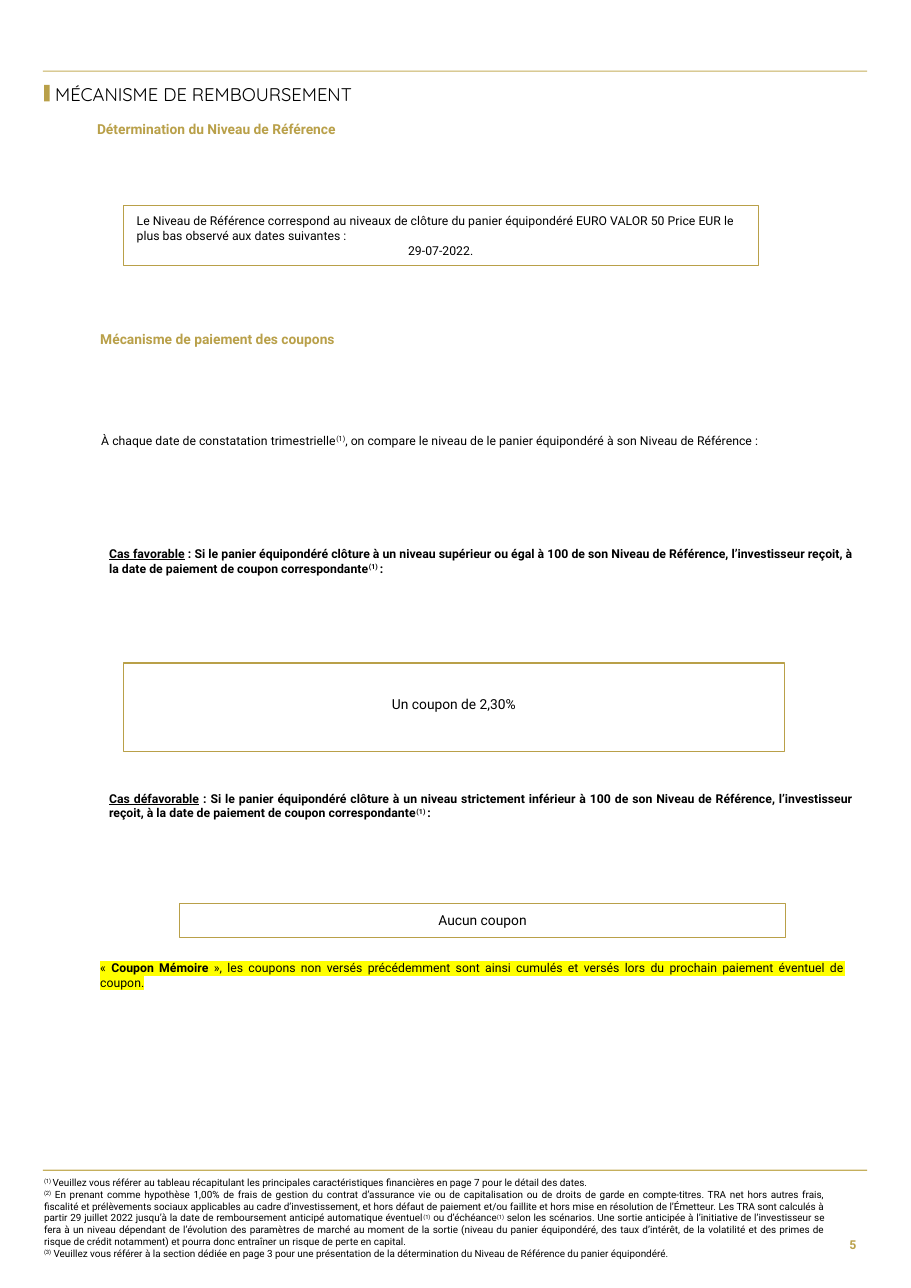
import pptx
import pptx.dml.color
import pptx.enum.shapes
import pptx.enum.text
import pptx.oxml
import pptx.oxml.ns
import pptx.util

Pt = pptx.util.Pt
ALIGN = pptx.enum.text.PP_ALIGN
MIDDLE = pptx.enum.text.MSO_ANCHOR.MIDDLE
TOP = pptx.enum.text.MSO_ANCHOR.TOP

GOLD = pptx.dml.color.RGBColor(0xB9, 0xA0, 0x49)
RULE_GOLD = pptx.dml.color.RGBColor(0xC5, 0xAF, 0x5C)
BLACK = pptx.dml.color.RGBColor(0, 0, 0)
WHITE = pptx.dml.color.RGBColor(0xFF, 0xFF, 0xFF)
HIGHLIGHT = "FFFF00"

PAGE_WIDTH, PAGE_HEIGHT = 595.3, 841.9
MARGIN = 28.1
RULE_WIDTH = 538.6

NOTES = [
    [("(1) ", "superscript"),
     ("Veuillez vous référer au tableau récapitulant les principales caractéristiques "
      "financières en page 7 pour le détail des dates.", "")],
    [("(2)", "superscript"),
     (" En prenant comme hypothèse 1,00% de frais de gestion du contrat d’assurance vie ou de "
      "capitalisation ou de droits de garde en compte-titres. TRA net hors autres frais, "
      "fiscalité et prélèvements sociaux applicables au cadre d’investissement, et hors défaut "
      "de paiement et/ou faillite et hors mise en résolution de l’Émetteur. Les TRA sont "
      "calculés à partir 29 juillet 2022 jusqu’à la date de remboursement anticipé automatique "
      "éventuel", ""),
     ("(1)", "superscript"), (" ou d’échéance", ""), ("(1)", "superscript"),
     (" selon les scénarios. Une sortie anticipée à l’initiative de l’investisseur se fera à un "
      "niveau dépendant de l’évolution des paramètres de marché au moment de la sortie (niveau "
      "du panier équipondéré, des taux d’intérêt, de la volatilité et des primes de risque de "
      "crédit notamment) et pourra donc entraîner un risque de perte en capital.", "")],
    [("(3)", "superscript"),
     (" Veuillez vous référer à la section dédiée en page 3 pour une présentation de la "
      "détermination du Niveau de Référence du panier équipondéré.", "")],
]


def write_paragraph(paragraph, pieces, size, color, align, font_name="Roboto"):
    paragraph.alignment = align
    for text, style in pieces:
        run = paragraph.add_run()
        run.text = text
        run.font.name = font_name
        run.font.size = Pt(size)
        run.font.bold = "bold" in style
        run.font.underline = "underline" in style
        run.font.color.rgb = color
        properties = run._r.get_or_add_rPr()
        if "superscript" in style:
            properties.set("baseline", "30000")
        if "highlight" in style:
            highlight = pptx.oxml.parse_xml(
                f'<a:highlight {pptx.oxml.ns.nsdecls("a")}>'
                f'<a:srgbClr val="{HIGHLIGHT}"/></a:highlight>')
            properties.find(pptx.oxml.ns.qn("a:solidFill")).addnext(highlight)


def write_frame(shape, paragraphs, size, color=BLACK, aligns=(ALIGN.JUSTIFY,),
                anchor=TOP, insets=(0, 0, 0, 0), font_name="Roboto"):
    frame = shape.text_frame
    frame.word_wrap = True
    frame.vertical_anchor = anchor
    frame.margin_left, frame.margin_top, frame.margin_right, frame.margin_bottom = map(Pt, insets)
    for index, pieces in enumerate(paragraphs):
        paragraph = frame.paragraphs[0] if index == 0 else frame.add_paragraph()
        write_paragraph(paragraph, pieces, size, color, aligns[index % len(aligns)], font_name)


def add_text(slide, box, paragraphs, size, **options):
    shape = slide.shapes.add_textbox(*map(Pt, box))
    write_frame(shape, paragraphs, size, **options)


def add_rectangle(slide, box, fill=None, line_width=None):
    shape = slide.shapes.add_shape(pptx.enum.shapes.MSO_SHAPE.RECTANGLE, *map(Pt, box))
    shape.shadow.inherit = False
    if fill is None:
        shape.fill.background()
    else:
        shape.fill.solid()
        shape.fill.fore_color.rgb = fill
    if line_width is None:
        shape.line.fill.background()
    else:
        shape.line.color.rgb = GOLD
        shape.line.width = Pt(line_width)
    return shape


def add_heading(slide, left, top, text):
    add_text(slide, (left, top, 480, 13), [[(text, "bold")]], 9,
             color=GOLD, aligns=(ALIGN.LEFT,))


def add_header(slide, left, top):
    add_rectangle(slide, (left, top, RULE_WIDTH, 0.72), RULE_GOLD)
    add_rectangle(slide, (left + 0.7, top + 9.4, 3.6, 10.8), GOLD)
    add_text(slide, (left + 7.9, top + 6.5, 303, 18), [[("MÉCANISME DE REMBOURSEMENT", "")]], 12,
             aligns=(ALIGN.LEFT,), anchor=MIDDLE, font_name="Quicksand")


def add_reference_section(slide, left, top):
    add_heading(slide, left, top, "Détermination du Niveau de Référence")
    frame = add_rectangle(slide, (left + 17.3, top + 55.4, 414.7, 38.9), line_width=0.5)
    write_frame(frame, [
        [("Le Niveau de Référence correspond au niveaux de clôture du panier équipondéré "
          "EURO VALOR 50 Price EUR le plus bas observé aux dates suivantes :", "")],
        [("29-07-2022.", "")],
    ], 8, aligns=(ALIGN.LEFT, ALIGN.CENTER), anchor=MIDDLE, insets=(8.64, 0, 8.64, 0))


def add_case(slide, left, top, name, condition):
    add_text(slide, (left, top, 486.7, 19.4), [[
        (name, "bold underline"),
        (f" : Si le panier équipondéré clôture à un niveau {condition} à 100 de son Niveau de "
         "Référence, l’investisseur reçoit, à la date de paiement de coupon correspondante",
         "bold"),
        ("(1) ", "bold superscript"), (":", "bold")]], 8)


def add_payout(slide, box, text, insets):
    shape = add_rectangle(slide, box, WHITE, 0.75)
    write_frame(shape, [[(text, "")]], 9, aligns=(ALIGN.CENTER,), anchor=MIDDLE, insets=insets)


def add_coupon_section(slide, left, top):
    add_heading(slide, left, top, "Mécanisme de paiement des coupons")
    add_text(slide, (left + 0.7, top + 67, 473, 9.4), [[
        ("À chaque date de constatation trimestrielle", ""), ("(1)", "superscript"),
        (", on compare le niveau de le panier équipondéré à son Niveau de Référence :", "")]], 8)
    add_case(slide, left + 5.8, top + 141.1, "Cas favorable", "supérieur ou égal")
    add_payout(slide, (left + 15.1, top + 217.4, 432, 57.6), "Un coupon de 2,30%",
               (8.64, 6, 8.64, 10.5))
    add_case(slide, left + 5.8, top + 301, "Cas défavorable", "strictement inférieur")
    add_payout(slide, (left + 51.8, top + 374.4, 396, 22.3), "Aucun coupon",
               (8.64, 5.76, 8.64, 5.76))
    add_text(slide, (left, top + 411.8, 486.7, 19), [[
        ("« ", "highlight"), ("Coupon Mémoire ", "bold highlight"),
        ("», les coupons non versés précédemment sont ainsi cumulés et versés lors du prochain "
         "paiement éventuel de coupon.", "highlight")]], 8)


def add_footer(slide, left, top):
    add_rectangle(slide, (left, top, RULE_WIDTH, 0.72), RULE_GOLD)
    add_text(slide, (left + 0.7, top + 4.3, 510.5, 55.4), NOTES, 6.5)
    add_text(slide, (left + 510.5, top + 33.8, 28.1, 30.2), [[("5", "bold")]], 8,
             color=GOLD, aligns=(ALIGN.RIGHT,), anchor=MIDDLE, insets=(7.2, 3.6, 7.2, 3.6))


def main():
    presentation = pptx.Presentation()
    presentation.slide_width = Pt(PAGE_WIDTH)
    presentation.slide_height = Pt(PAGE_HEIGHT)
    slide = presentation.slides.add_slide(presentation.slide_layouts[6])
    add_header(slide, MARGIN, 46.1)
    add_reference_section(slide, 63.4, 79.2)
    add_coupon_section(slide, 65.5, 216)
    add_footer(slide, MARGIN, 764.6)
    presentation.save("out.pptx")


if __name__ == "__main__":
    main()
